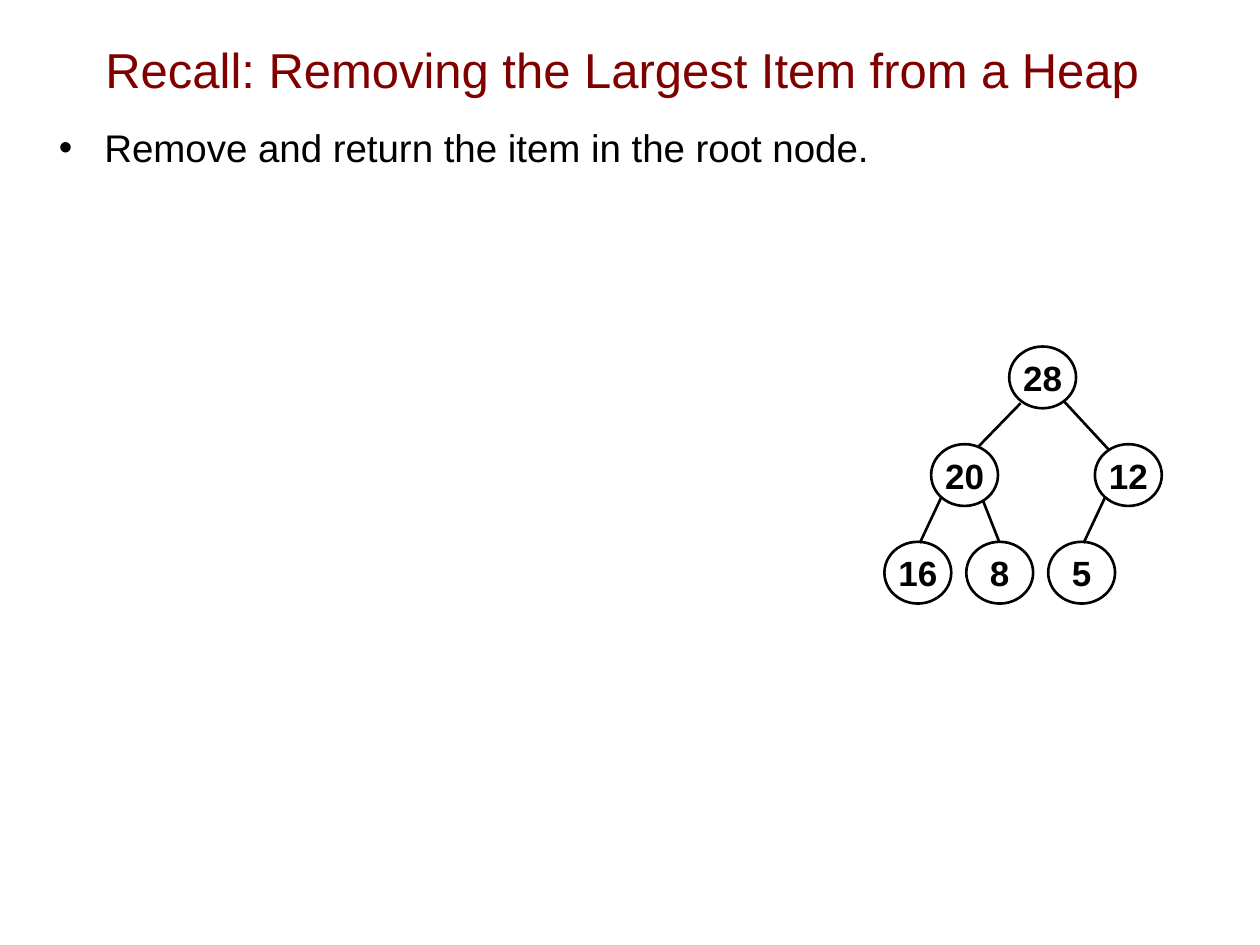
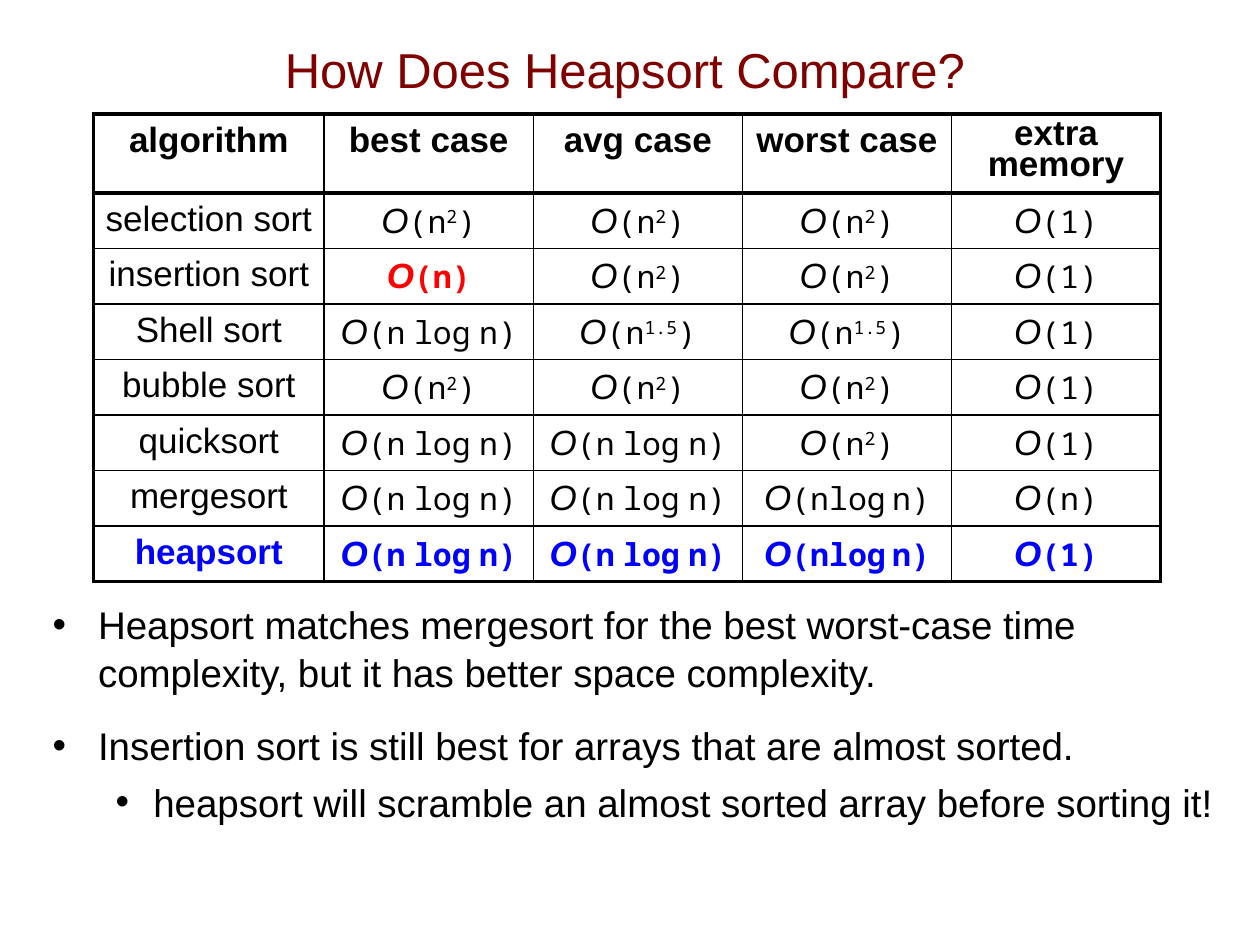
from lxml.etree import SubElement
from pptx import Presentation
from pptx.dml.color import RGBColor
from pptx.enum.shapes import MSO_CONNECTOR, MSO_SHAPE
from pptx.enum.text import MSO_ANCHOR, PP_ALIGN
from pptx.oxml.ns import qn
from pptx.util import Pt

MAROON = RGBColor(0x80, 0x00, 0x00)
BLACK = RGBColor(0x00, 0x00, 0x00)
RED = RGBColor(0xFF, 0x00, 0x00)
BLUE = RGBColor(0x00, 0x00, 0xFF)

SANS = "Arial"
MONO = "Noto Sans Mono"
THIN, THICK = 1, 2.25

TITLE = {"name": SANS, "size": Pt(28), "bold": False}
BODY = {"name": SANS, "size": Pt(22)}
LABEL = {"name": SANS, "size": Pt(20)}
CODE = {"name": MONO, "size": Pt(18)}

BULLET_LEVELS = [
    {"marL": Pt(26), "indent": Pt(-26)},
    {"marL": Pt(57.6), "indent": Pt(-21.6)},
]

NODE_W, NODE_H = 38.2, 35.3
TREE_TOP, LEVEL_STEP = 198, 55.8
NODES = [
    ("28", 576.7, 0), ("20", 532.1, 1), ("12", 625.7, 1),
    ("16", 505.4, 2), ("8", 552.2, 2), ("5", 599, 2),
]
EDGES = [
    (583.2, 230.4, 559.4, 254.9),
    (607.7, 229, 633.6, 257),
    (537.8, 284.4, 525.6, 310.3),
    (561.6, 285.8, 571, 309.6),
    (631.4, 284.4, 619.2, 310.3),
]

COLUMN_WIDTHS = [131.8] + [119.5] * 4
ROW_HEIGHTS = [45.2] + [31.7] * 7
HEADINGS = ["algorithm", "best case", "avg case", "worst case", "extra memory"]
SORTS = [
    ("selection sort", "n^2", "n^2", "n^2", "1"),
    ("insertion sort", "n", "n^2", "n^2", "1"),
    ("Shell sort", "n log n", "n^1.5", "n^1.5", "1"),
    ("bubble sort", "n^2", "n^2", "n^2", "1"),
    ("quicksort", "n log n", "n log n", "n^2", "1"),
    ("mergesort", "n log n", "n log n", "nlog n", "n"),
    ("heapsort", "n log n", "n log n", "nlog n", "1"),
]
HIGHLIGHTS = {("insertion sort", 1): RED}
HIGHLIGHTS.update({("heapsort", col): BLUE for col in range(5)})


def set_values(target, values):
    for name, value in values.items():
        setattr(target, name, value)


def add_run(p, text, style, color=BLACK, **extra):
    r = p.add_run()
    r.text = text
    set_values(r.font, {**style, **extra})
    r.font.color.rgb = color
    return r


def add_slide(prs, title, left, width):
    s = prs.slides.add_slide(prs.slide_layouts[5])
    sp = s.shapes.title
    set_values(sp, {"left": Pt(left), "top": Pt(5.8),
                    "width": Pt(width), "height": Pt(67)})
    sp.text_frame.vertical_anchor = MSO_ANCHOR.MIDDLE
    p = sp.text_frame.paragraphs[0]
    p.alignment = PP_ALIGN.CENTER
    add_run(p, title, TITLE, MAROON)
    return s


def set_bullet(p, level):
    pPr = p._p.get_or_add_pPr()
    for name, value in BULLET_LEVELS[level].items():
        pPr.set(name, str(int(value)))
    color = SubElement(pPr, qn("a:buClr"))
    SubElement(color, qn("a:srgbClr")).set("val", str(BLACK))
    SubElement(pPr, qn("a:buFont")).set("typeface", SANS)
    SubElement(pPr, qn("a:buChar")).set("char", "•")


def add_bullets(s, left, top, width, height, items):
    tf = s.shapes.add_textbox(Pt(left), Pt(top), Pt(width), Pt(height)).text_frame
    tf.word_wrap = True
    for i, (text, level, before) in enumerate(items):
        p = tf.add_paragraph() if i else tf.paragraphs[0]
        set_bullet(p, level)
        set_values(p, {"level": level, "space_before": Pt(before),
                       "line_spacing": 1.04})
        add_run(p, text, BODY)


def add_node(s, value, left, level):
    sp = s.shapes.add_shape(MSO_SHAPE.OVAL, Pt(left),
                            Pt(TREE_TOP + level * LEVEL_STEP),
                            Pt(NODE_W), Pt(NODE_H))
    sp.shadow.inherit = False
    sp.fill.background()
    sp.line.color.rgb = BLACK
    sp.line.width = Pt(1.5)
    tf = sp.text_frame
    set_values(tf, {"margin_left": 0, "margin_top": 0, "margin_right": 0,
                    "margin_bottom": 0, "word_wrap": False,
                    "vertical_anchor": MSO_ANCHOR.MIDDLE})
    p = tf.paragraphs[0]
    p.alignment = PP_ALIGN.CENTER
    add_run(p, value, LABEL, bold=True)


def add_edge(s, *ends):
    c = s.shapes.add_connector(MSO_CONNECTOR.STRAIGHT, *map(Pt, ends))
    c.line.color.rgb = BLACK
    c.line.width = Pt(1.5)
    SubElement(c._element.spPr, qn("a:effectLst"))


def set_borders(cell, widths):
    tcPr = cell._tc.get_or_add_tcPr()
    for side, width in widths.items():
        ln = SubElement(tcPr, qn(f"a:ln{side}"))
        ln.set("w", str(int(Pt(width))))
        fill = SubElement(ln, qn("a:solidFill"))
        SubElement(fill, qn("a:srgbClr")).set("val", str(BLACK))


def add_formula(p, growth, color, bold):
    add_run(p, "O", LABEL, color, bold=bold, italic=True)
    base, _, power = growth.partition("^")
    if power:
        add_run(p, f"({base}", CODE, color, bold=bold)
        r = add_run(p, power, CODE, color, bold=bold)
        r.font._element.set("baseline", "30000")
        add_run(p, ")", CODE, color, bold=bold)
        return
    words = f"({growth})".split()
    gap = Pt(8 if len(words) == 3 else 6)
    for i, word in enumerate(words):
        if i:
            add_run(p, " ", CODE, color, bold=bold, size=gap)
        add_run(p, word, CODE, color, bold=bold)


def fill_cell(cell, row, col, text, name):
    last_row, last_col = len(ROW_HEIGHTS) - 1, len(COLUMN_WIDTHS) - 1
    set_borders(cell, {
        "L": THICK if col == 0 else THIN,
        "R": THICK if col == last_col else THIN,
        "T": THICK if row <= 1 else THIN,
        "B": THICK if row in (0, last_row) else THIN,
    })
    cell.fill.background()
    p = cell.text_frame.paragraphs[0]
    p.alignment = PP_ALIGN.CENTER
    color = HIGHLIGHTS.get((name, col), BLACK)
    bold = row == 0 or color != BLACK
    if row and col:
        add_formula(p, text, color, bold)
        return
    add_run(p, text, LABEL, color, bold=bold)
    if row:
        set_values(cell, {"margin_left": 0, "margin_right": 0})
    elif col == last_col:
        p.line_spacing = 0.8


def add_comparison(s, left, top):
    rows = [HEADINGS, *SORTS]
    table = s.shapes.add_table(len(rows), len(HEADINGS), Pt(left), Pt(top),
                               Pt(sum(COLUMN_WIDTHS)), Pt(sum(ROW_HEIGHTS))).table
    set_values(table, {"first_row": False, "horz_banding": False})
    for column, width in zip(table.columns, COLUMN_WIDTHS):
        column.width = Pt(width)
    for row, values in enumerate(rows):
        table.rows[row].height = Pt(ROW_HEIGHTS[row])
        for col, text in enumerate(values):
            fill_cell(table.cell(row, col), row, col, text, values[0])


def main():
    prs = Presentation()
    set_values(prs, {"slide_width": Pt(720), "slide_height": Pt(540)})

    s = add_slide(prs, "Recall: Removing the Largest Item from a Heap", 46, 619)
    add_bullets(s, 26.6, 66.2, 693, 40,
                [("Remove and return the item in the root node.", 0, 0)])
    for node in NODES:
        add_node(s, *node)
    for edge in EDGES:
        add_edge(s, *edge)

    s = add_slide(prs, "How Does Heapsort Compare?", 24, 666)
    add_comparison(s, 53.5, 65.2)
    add_bullets(s, 23, 339, 687, 150, [
        ("Heapsort matches mergesort for the best worst-case time "
         "complexity, but it has better space complexity.", 0, 0),
        ("Insertion sort is still best for arrays that are almost sorted.", 0, 14),
        ("heapsort will scramble an almost sorted array before sorting it!", 1, 5),
    ])
    prs.save("out.pptx")


if __name__ == "__main__":
    main()
